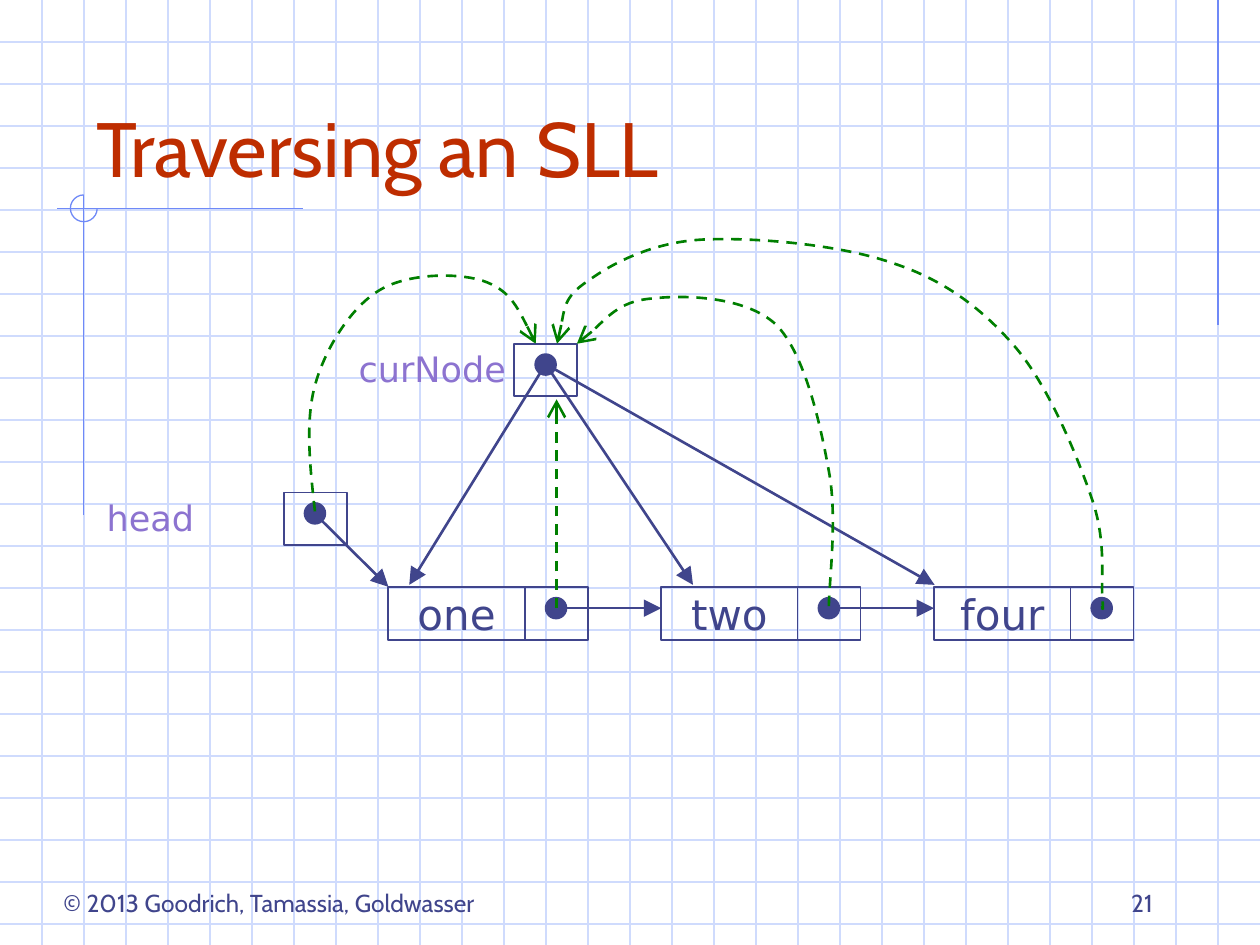
import lxml.etree
import pptx
import pptx.dml.color
import pptx.enum.dml
import pptx.enum.shapes
import pptx.enum.text
import pptx.oxml.ns
import pptx.util

Cm = pptx.util.Cm
Pt = pptx.util.Pt
qn = pptx.oxml.ns.qn
SHAPE = pptx.enum.shapes.MSO_SHAPE
STRAIGHT = pptx.enum.shapes.MSO_CONNECTOR.STRAIGHT
ALIGN = pptx.enum.text.PP_ALIGN
ANCHOR = pptx.enum.text.MSO_ANCHOR

colours = {
    "grid": "CFDBFD",
    "accent": "6F89F7",
    "ink": "40458C",
    "title": "BE2D00",
    "label": "8C73D0",
    "update": "007F00",
}


def write_text(shape, text, font="DejaVu Sans", size=20, colour="ink",
               align=ALIGN.LEFT, anchor=ANCHOR.TOP, wrap=True):
    frame = shape.text_frame
    frame.auto_size = pptx.enum.text.MSO_AUTO_SIZE.NONE
    frame.word_wrap = wrap
    frame.vertical_anchor = anchor
    para = frame.paragraphs[0]
    para.alignment = align
    span = para.add_run()
    span.text = text
    span.font.name = font
    span.font.size = Pt(size)
    span.font.color.rgb = pptx.dml.color.RGBColor.from_string(colours[colour])


def style_line(shape, colour="ink", width=1, dashed=False, arrow=None):
    shape.line.color.rgb = pptx.dml.color.RGBColor.from_string(colours[colour])
    shape.line.width = Pt(width)
    if dashed:
        shape.line.dash_style = pptx.enum.dml.MSO_LINE.DASH
    properties = shape.element.spPr
    if arrow:
        lxml.etree.SubElement(properties.find(qn("a:ln")), qn("a:tailEnd"),
                              type=arrow, w="lg", len="lg")
    lxml.etree.SubElement(properties, qn("a:effectLst"))


deck = pptx.Presentation()
width, height = 25.4, 19.05
deck.slide_width = Cm(width)
deck.slide_height = Cm(height)
page = deck.slides.add_slide(deck.slide_layouts[5])
shapes = page.shapes

backdrop = shapes.add_group_shape()
step = width / 30
rules = [(0, row * step, width, row * step, "grid") for row in range(1, 23)]
rules += [(column * step, 0, column * step, height, "grid") for column in range(1, 30)]
rules += [
    (29 * step, 0, 29 * step, 6.55, "accent"),
    (6.1, 4.21, 1.14, 4.21, "accent"),
    (1.69, 3.93, 1.69, 10.39, "accent"),
]
for x1, y1, x2, y2, colour in rules:
    rule = backdrop.shapes.add_connector(STRAIGHT, Cm(x1), Cm(y1), Cm(x2), Cm(y2))
    style_line(rule, colour, 0.75)

ring = backdrop.shapes.add_shape(SHAPE.ARC, Cm(1.42), Cm(3.93), Cm(0.54), Cm(0.54))
ring.adjustments[0] = 0
ring.adjustments[1] = 162
ring.fill.background()
style_line(ring, "accent", 0.75)

copyright_box = shapes.add_textbox(Cm(0.5), Cm(17.78), Cm(9.85), Cm(0.86))
write_text(copyright_box, "© 2013 Goodrich, Tamassia, Goldwasser", font="Cabin", size=14,
           align=ALIGN.CENTER, wrap=False)

for part in (backdrop, copyright_box):
    deck.slide_master.shapes.element.append(part.element)
for number, properties in enumerate(deck.slide_master.shapes.element.iter(qn("p:cNvPr")), 1):
    properties.set("id", str(number))

number_box = shapes.add_textbox(Cm(18.2), Cm(17.35), Cm(5.29), Cm(1.27))
write_text(number_box, "21", font="Cabin", size=14, align=ALIGN.RIGHT, anchor=ANCHOR.BOTTOM)

title = shapes.title
title.left, title.top, title.width, title.height = Cm(1.69), Cm(0.85), Cm(21.59), Cm(3.17)
write_text(title, "Traversing an SLL", font="Cabin", size=44, colour="title", anchor=ANCHOR.BOTTOM)

cell_width, pointer_width, cell_height, dot_size = 2.75, 1.27, 1.06, 0.42
first_left, node_top, node_step = 7.83, 11.84, 5.5
pointers = [(5.72, 9.93), (10.37, 6.93)]

for index, word in enumerate(["one", "two", "four"]):
    left = first_left + index * node_step
    cell = shapes.add_shape(SHAPE.RECTANGLE, Cm(left), Cm(node_top), Cm(cell_width), Cm(cell_height))
    cell.fill.background()
    style_line(cell)
    write_text(cell, word, size=24, align=ALIGN.CENTER, anchor=ANCHOR.MIDDLE, wrap=False)
    pointers.append((left + cell_width, node_top))

for left, top in pointers:
    box = shapes.add_shape(SHAPE.RECTANGLE, Cm(left), Cm(top), Cm(pointer_width), Cm(cell_height))
    box.fill.background()
    style_line(box)
    dot = shapes.add_shape(SHAPE.OVAL, Cm(left + 0.42), Cm(top + 0.21), Cm(dot_size), Cm(dot_size))
    dot.fill.solid()
    dot.fill.fore_color.rgb = pptx.dml.color.RGBColor.from_string(colours["ink"])
    style_line(dot)

for name, left, top in [("head", 1.9, 9.89), ("curNode", 6.98, 6.88)]:
    label = shapes.add_textbox(Cm(left), Cm(top), Cm(4.02), Cm(1.12))
    write_text(label, name, colour="label")

arrows = [
    (11.22, 12.26, 13.33, 12.26, "ink", 1),
    (16.72, 12.26, 18.83, 12.26, "ink", 1),
    (6.35, 10.36, 7.83, 11.83, "ink", 1.5),
    (11.22, 12.26, 11.22, 8.05, "update", 1.5),
]
arrows += [(11, 7.34, target, 11.79, "ink", 1.5) for target in (8.25, 13.97, 18.84)]
for x1, y1, x2, y2, colour, weight in arrows:
    link = shapes.add_connector(STRAIGHT, Cm(x1), Cm(y1), Cm(x2), Cm(y2))
    dashed = colour == "update"
    style_line(link, colour, weight, dashed, "arrow" if dashed else "triangle")

curves = [
    [(6.35, 10.31), (6.25, 9.42), (6.15, 8.51), (6.35, 7.77),
     (6.55, 7.04), (7.06, 6.22), (7.62, 5.87),
     (8.18, 5.51), (9.19, 5.49), (9.73, 5.66),
     (10.27, 5.84), (10.54, 6.38), (10.8, 6.93)],
    [(16.71, 12.22), (16.71, 11.76), (16.89, 10.44), (16.71, 9.5),
     (16.54, 8.56), (16.23, 7.14), (15.65, 6.55),
     (15.04, 5.97), (13.79, 5.94), (13.13, 6.02),
     (12.47, 6.07), (11.94, 6.73), (11.63, 6.93)],
    [(22.22, 12.22), (22.22, 12.29), (22.25, 12.37), (22.22, 12.01),
     (22.2, 11.66), (22.3, 10.9), (22.02, 10.08),
     (21.74, 9.25), (21.18, 7.87), (20.52, 7.06),
     (19.86, 6.27), (19.08, 5.66), (18.01, 5.31),
     (16.94, 4.93), (15.21, 4.78), (14.17, 4.83),
     (13.16, 4.88), (12.34, 5.31), (11.86, 5.66),
     (11.35, 5.99), (11.35, 6.48), (11.23, 6.93)],
]
for points in curves:
    start, *others = [(Cm(x), Cm(y)) for x, y in points]
    builder = shapes.build_freeform(*start)
    builder.add_line_segments(others, close=False)
    curve = builder.convert_to_shape()
    outline = next(curve.element.iter(qn("a:path")))
    segments = outline.findall(qn("a:lnTo"))
    for first in range(0, len(segments), 3):
        bend = lxml.etree.SubElement(outline, qn("a:cubicBezTo"))
        for segment in segments[first:first + 3]:
            bend.append(segment[0])
            outline.remove(segment)
    curve.fill.background()
    style_line(curve, "update", 1.5, True, "arrow")

deck.save("out.pptx")
